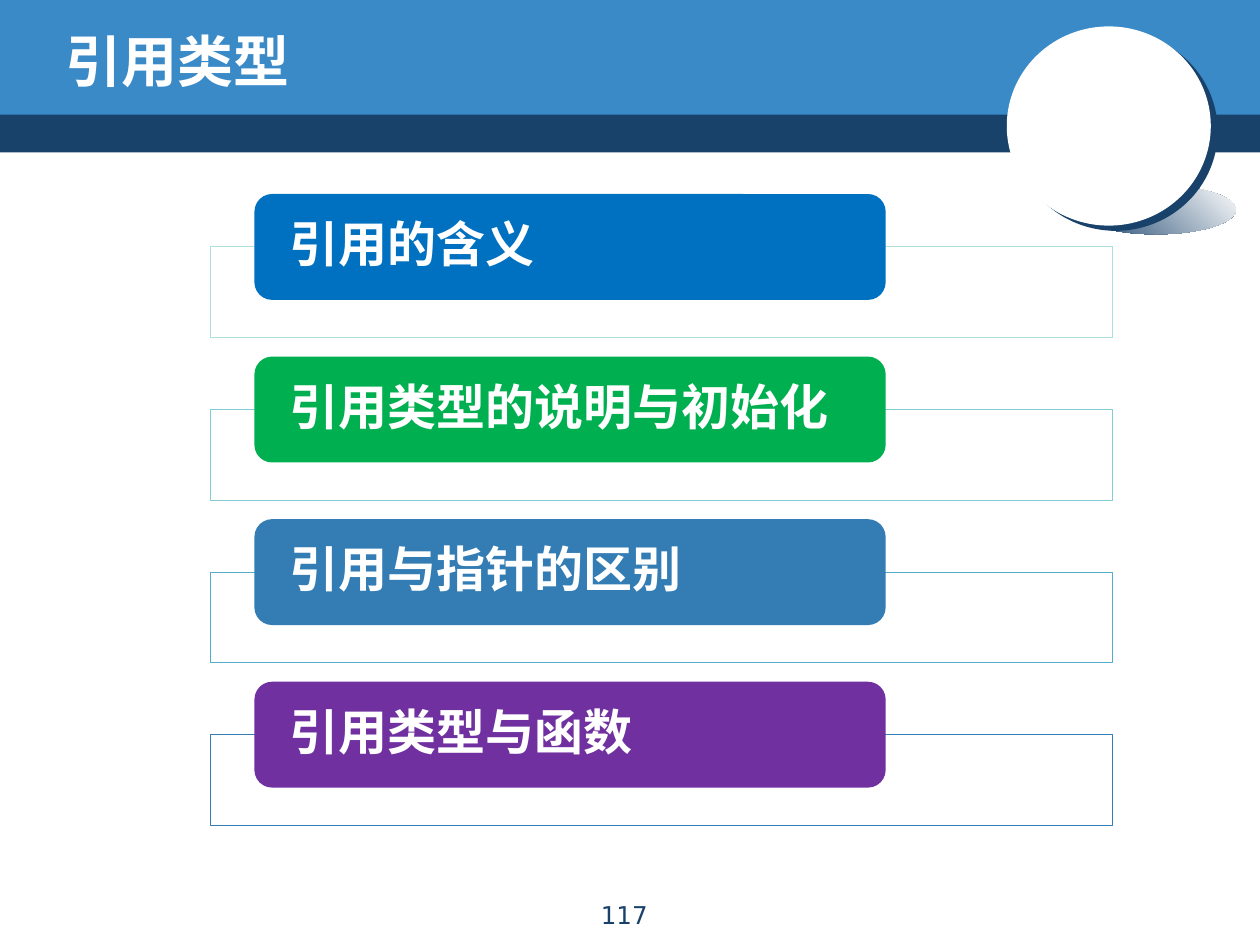
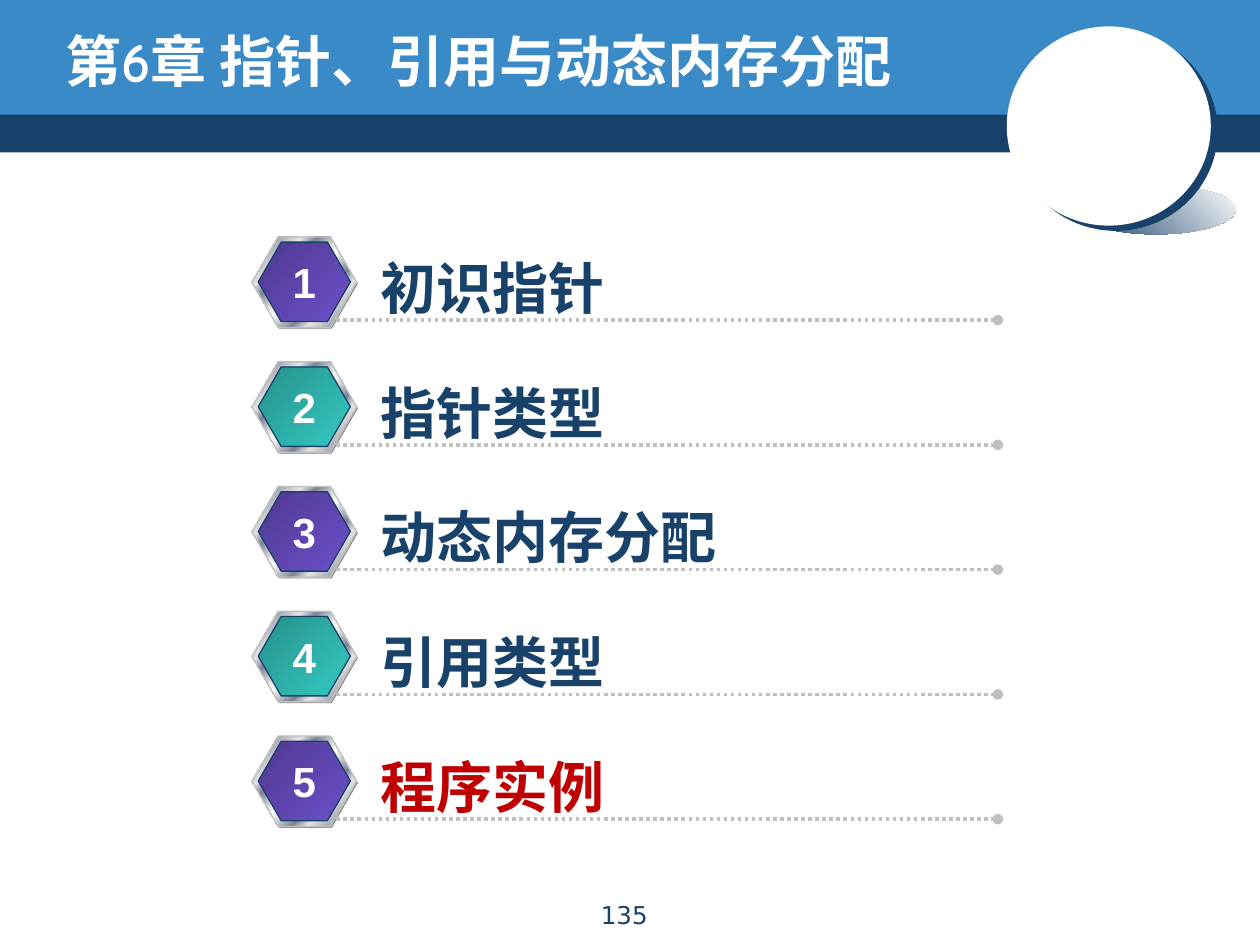
"""Build two lecture slides: a reference-type outline and a chapter agenda."""
import lxml.etree
import pptx
import pptx.dml.color
import pptx.enum.dml
import pptx.enum.shapes
import pptx.enum.text
import pptx.oxml.ns
import pptx.util

Pt = pptx.util.Pt
qn = pptx.oxml.ns.qn
SHAPE = pptx.enum.shapes.MSO_SHAPE
ALIGN = pptx.enum.text.PP_ALIGN
ANCHOR = pptx.enum.text.MSO_ANCHOR

COLORS = {
    "navy": "19426B", "band": "398AC7", "white": "FFFFFF", "red": "C00000",
    "silver": "C0C0C0", "gray": "808080", "steel": "7D8496", "light": "E6E6E6",
    "purple_dark": "4E3990", "purple": "6D50CA",
    "teal_dark": "26908B", "teal": "35C9C2",
    "blue": "0070C0", "green": "00B050", "ocean": "337DB4", "violet": "7030A0",
    "frame_1": "AEE1DD", "frame_2": "82CDD5", "frame_3": "55ACCA",
}
CJK_FONT = "Noto Sans CJK SC"
METAL = [(0, "light"), (7, "steel"), (26, "light"), (34, "steel"),
         (46, "light"), (50, "white"), (54, "light"), (66, "steel"),
         (74, "light"), (93, "steel"), (100, "light")]
PURPLE = [(0, "purple_dark"), (100, "purple")]
TEAL = [(0, "teal_dark"), (100, "teal")]

TOPICS = [
    ("引用的含义", "blue", "frame_1"),
    ("引用类型的说明与初始化", "green", "frame_2"),
    ("引用与指针的区别", "ocean", "frame_3"),
    ("引用类型与函数", "violet", "ocean"),
]
AGENDA = ["初识指针", "指针类型", "动态内存分配", "引用类型", "程序实例"]
CURRENT_ITEM = "程序实例"


def rgb(name):
    return pptx.dml.color.RGBColor.from_string(COLORS[name])


def add_color(parent, name):
    return lxml.etree.SubElement(parent, qn("a:srgbClr"), val=COLORS[name])


def add_shape(shapes, kind, left, top, width, height, fill, line=None, line_width=0.75):
    shape = shapes.add_shape(kind, Pt(left), Pt(top), Pt(width), Pt(height))
    shape.shadow.inherit = False
    shape.fill.solid()
    shape.fill.fore_color.rgb = rgb(fill)
    if line:
        shape.line.color.rgb = rgb(line)
        shape.line.width = Pt(line_width)
    else:
        shape.line.fill.background()
    return shape


def set_gradient(shape, stops, angle):
    shape.fill.gradient()
    shape.fill.gradient_angle = angle
    stop_list = shape.element.spPr.find(".//" + qn("a:gsLst"))
    stop_list.clear()
    for position, color in stops:
        stop = lxml.etree.SubElement(stop_list, qn("a:gs"), pos=str(position * 1000))
        add_color(stop, color)


def set_shadow(shape, color, distance, angle):
    effects = shape.element.spPr.find(qn("a:effectLst"))
    shadow = lxml.etree.SubElement(
        effects, qn("a:outerShdw"), blurRad="0", dist=str(Pt(distance)),
        dir=str(angle * 60000), algn="ctr", rotWithShape="0")
    add_color(shadow, color)


def set_text(shape, text, size, font, color, bold=True, align=ALIGN.LEFT,
             anchor=ANCHOR.MIDDLE, wrap=True):
    frame = shape.text_frame
    frame.text = text
    frame.word_wrap = wrap
    frame.vertical_anchor = anchor
    para = frame.paragraphs[0]
    para.alignment = align
    para.font.size = Pt(size)
    para.font.bold = bold
    para.font.name = font
    para.font.color.rgb = rgb(color)
    for properties in shape.element.iter(qn("a:defRPr")):
        lxml.etree.SubElement(properties, qn("a:ea"), typeface=CJK_FONT)
    return frame


def add_label(page, left, top, width, height, text, size, font, color, **options):
    box = page.shapes.add_textbox(Pt(left), Pt(top), Pt(width), Pt(height))
    set_text(box, text, size, font, color, anchor=ANCHOR.TOP, **options)


def add_page(deck, title_text, number):
    page = deck.slides.add_slide(deck.slide_layouts[5])
    shapes = page.shapes
    add_shape(shapes, SHAPE.RECTANGLE, 0, 62.6, 720, 24.5, "navy")
    add_shape(shapes, SHAPE.RECTANGLE, 0, 0, 720, 65.5, "band")
    ball = shapes.add_group_shape().shapes
    ground = add_shape(ball, SHAPE.OVAL, 614.9, 105.8, 91.4, 28.1, "navy")
    set_gradient(ground, [(0, "navy"), (100, "white")], 45)
    disc = add_shape(ball, SHAPE.OVAL, 575.3, 15.1, 116.6, 113.8, "white")
    set_shadow(disc, "navy", 5, 37)

    title = shapes.title
    title.element.getparent().append(title.element)
    title.left, title.top = Pt(30.2), Pt(12.2)
    title.width, title.height = Pt(581.8), Pt(44.6)
    frame = set_text(title, title_text, 32, "Comic Neue", "white")
    frame.auto_size = pptx.enum.text.MSO_AUTO_SIZE.NONE
    add_label(page, 291.6, 510.5, 130.3, 23, number, 14, "DejaVu Sans", "navy",
              bold=False, align=ALIGN.CENTER)
    return page


def add_topic(page, top, text, fill, line):
    shapes = page.shapes.add_group_shape().shapes
    frame = add_shape(shapes, SHAPE.RECTANGLE, 120.2, top + 30.2, 515.5, 51.8,
                      "white", line, 0.5)
    color = frame.element.spPr.find(qn("a:solidFill")).find(qn("a:srgbClr"))
    lxml.etree.SubElement(color, qn("a:alpha"), val="90000")
    bar = add_shape(shapes, SHAPE.ROUNDED_RECTANGLE, 145.4, top, 360.7, 60.5, fill)
    content = set_text(bar, text, 28, CJK_FONT, "white")
    content.margin_left = content.margin_right = Pt(17.3)
    content.margin_top = content.margin_bottom = 0
    content.paragraphs[0].line_spacing = 0.9


def add_badge(page, top, number, stops):
    shapes = page.shapes.add_group_shape().shapes

    def add_hexagon(left, offset, width, height, fill, line=None):
        hexagon = add_shape(shapes, SHAPE.HEXAGON, left, top + offset, width, height,
                            fill, line)
        hexagon.adjustments[0] = 0.289
        return hexagon

    add_hexagon(144.7, 0.7, 59.8, 51.8, "gray")
    rim = add_hexagon(144, 0, 59.8, 51.8, "light", "silver")
    set_gradient(rim, METAL, 315)
    face = add_hexagon(147.6, 3, 52.6, 45.4, "purple", "navy")
    set_gradient(face, stops, 315)
    frame = set_text(face, number, 24, "Arial", "white", align=ALIGN.CENTER, wrap=False)
    frame.margin_left = frame.margin_right = frame.margin_top = frame.margin_bottom = 0


def add_dotted_rule(page, left, right, y):
    rule = page.shapes.add_connector(
        pptx.enum.shapes.MSO_CONNECTOR.STRAIGHT, Pt(left), Pt(y), Pt(right), Pt(y))
    rule.line.color.rgb = rgb("silver")
    rule.line.width = Pt(2)
    rule.line.dash_style = pptx.enum.dml.MSO_LINE.ROUND_DOT
    properties = rule.element.spPr
    lxml.etree.SubElement(properties.find(qn("a:ln")), qn("a:tailEnd"), type="oval")
    lxml.etree.SubElement(properties, qn("a:effectLst"))


def add_agenda_item(page, index, text):
    top = 135.4 + index * 71.3
    add_badge(page, top, str(index + 1), TEAL if index % 2 else PURPLE)
    add_dotted_rule(page, 192.2, 570.2, top + 47.5)
    color = "red" if text == CURRENT_ITEM else "navy"
    add_label(page, 210.2, top + 5.8, 36 * len(text), 46.1, text, 32, "Arial", color,
              wrap=False)


def main():
    deck = pptx.Presentation()
    deck.slide_width, deck.slide_height = Pt(720), Pt(540)

    outline = add_page(deck, "引用类型", "117")
    for index, (text, fill, line) in enumerate(TOPICS):
        add_topic(outline, 110.9 + index * 92.9, text, fill, line)

    agenda = add_page(deck, "第6章 指针、引用与动态内存分配", "135")
    for index, text in enumerate(AGENDA):
        add_agenda_item(agenda, index, text)

    deck.save("out.pptx")


if __name__ == "__main__":
    main()
